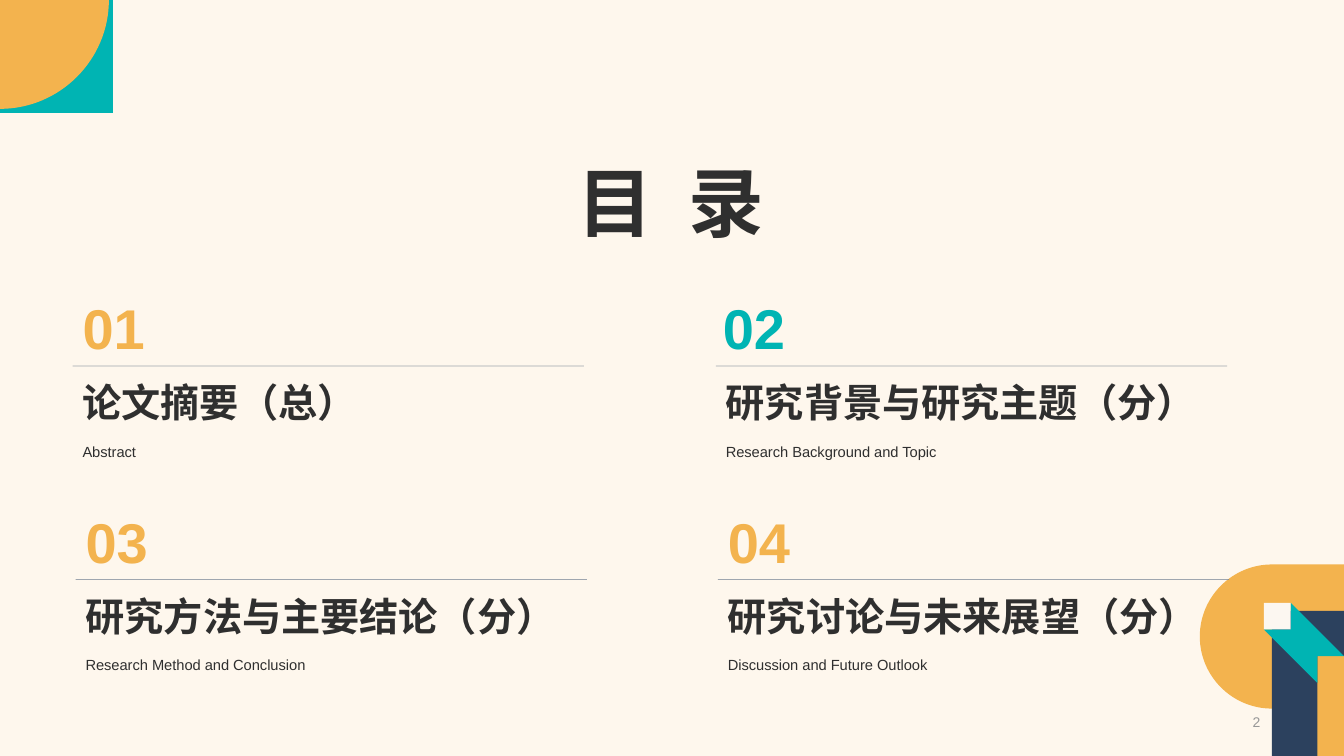
from dataclasses import dataclass

from lxml import etree
from pptx import Presentation
from pptx.dml.color import RGBColor
from pptx.enum.shapes import MSO_CONNECTOR, MSO_SHAPE
from pptx.enum.text import MSO_ANCHOR, MSO_AUTO_SIZE, PP_ALIGN
from pptx.oxml.ns import qn
from pptx.util import Inches, Pt

TOP, MIDDLE, BOTTOM = MSO_ANCHOR.TOP, MSO_ANCHOR.MIDDLE, MSO_ANCHOR.BOTTOM
LEFT, CENTER, RIGHT = PP_ALIGN.LEFT, PP_ALIGN.CENTER, PP_ALIGN.RIGHT
GROW, FIXED = MSO_AUTO_SIZE.SHAPE_TO_FIT_TEXT, MSO_AUTO_SIZE.NONE
STRAIGHT, RECTANGLE = MSO_CONNECTOR.STRAIGHT, MSO_SHAPE.RECTANGLE
ARC_PULL = 0.55  # control point distance of a quarter circle, per radius


@dataclass(frozen=True)
class Theme:
    font: str = "Arial"
    background: str = "FEF7ED"
    ink: str = "2F2F2F"
    orange: str = "F3B34E"
    teal: str = "00B4B3"
    navy: str = "2C415E"
    paper: str = "FCF7F1"
    rule: str = "778495"
    muted: str = "979797"
    title_size: float = 54
    number_size: float = 40
    heading_size: float = 28
    caption_size: float = 10.5
    page_size: float = 10


THEME = Theme()
WIDTH, HEIGHT = 13.33, 7.5

# number, heading, caption, number colour, left, top, number offset
SECTIONS = [
    ("01", "论文摘要（总）", "Abstract", THEME.orange, 0.72, 2.86, 0),
    ("02", "研究背景与研究主题（分）", "Research Background and Topic",
     THEME.teal, 7.1, 2.86, -0.03),
    ("03", "研究方法与主要结论（分）", "Research Method and Conclusion",
     THEME.orange, 0.75, 4.98, 0),
    ("04", "研究讨论与未来展望（分）", "Discussion and Future Outlook",
     THEME.orange, 7.12, 4.98, 0),
]


def add_text(slide, text, left, top, width, height, *, size, color=THEME.ink,
             bold=False, align=LEFT, anchor=TOP, fit=GROW, line_spacing=None,
             inset=0.05, tracking=None):
    box = slide.shapes.add_textbox(
        Inches(left), Inches(top), Inches(width), Inches(height))
    frame = box.text_frame
    frame.word_wrap = True
    frame.auto_size = fit
    frame.vertical_anchor = anchor
    frame.margin_top = frame.margin_bottom = Inches(inset)
    paragraph = frame.paragraphs[0]
    paragraph.alignment = align
    paragraph.line_spacing = line_spacing
    run = paragraph.add_run()
    run.text = text
    run.font.name = THEME.font
    run.font.size = Pt(size)
    run.font.bold = bold
    run.font.color.rgb = RGBColor.from_string(color)
    if tracking:
        run.font._element.set("spc", str(int(tracking * 100)))


def paint(shape, color):
    shape.shadow.inherit = False
    shape.fill.solid()
    shape.fill.fore_color.rgb = RGBColor.from_string(color)
    shape.line.fill.background()


def add_block(slide, left, top, width, height, color):
    block = slide.shapes.add_shape(
        RECTANGLE, Inches(left), Inches(top), Inches(width), Inches(height))
    paint(block, color)


def add_outline(slide, points, color, curves=()):
    """Closed outline; each index in curves starts a curve of three points."""
    corners = [(Inches(x), Inches(y)) for x, y in points]
    builder = slide.shapes.build_freeform(*corners[0], scale=1.0)
    builder.add_line_segments(corners[1:], close=True)
    outline = builder.convert_to_shape()
    paint(outline, color)

    # Turn the three segments of each curve into one Bezier segment
    segments = list(outline._element.iter(qn("a:lnTo")))
    for start in curves:
        first, *others = segments[start:start + 3]
        first.tag = qn("a:cubicBezTo")
        for segment in others:
            first.append(segment[0])
            segment.getparent().remove(segment)


def quarter(center, start, end):
    """Two control points and the end of a quarter circle."""
    (cx, cy), (sx, sy), (ex, ey) = center, start, end
    return [(sx + ARC_PULL * (ex - cx), sy + ARC_PULL * (ey - cy)),
            (ex + ARC_PULL * (sx - cx), ey + ARC_PULL * (sy - cy)),
            end]


def add_rule(slide, left, top, width):
    rule = slide.shapes.add_connector(
        STRAIGHT, Inches(left), Inches(top), Inches(left + width), Inches(top))
    rule.line.width = Pt(0.5)
    rule.line.color.rgb = RGBColor.from_string(THEME.rule)
    properties = rule._element.spPr
    tint = next(properties.iter(qn("a:srgbClr")))
    etree.SubElement(tint, qn("a:alpha")).set("val", "70000")
    etree.SubElement(properties, qn("a:effectLst"))


def draw_corner_quarter(slide, left, top, size):
    """Teal square with an orange quarter disc."""
    add_block(slide, left, top, size, size, THEME.teal)
    radius = size - 0.04
    corner, start, end = (left, top), (left + radius, top), (left, top + radius)
    add_outline(slide, [corner, start] + quarter(corner, start, end),
                THEME.orange, curves=[1])


def draw_corner_arrow(slide, right, bottom):
    """Orange rounded field, navy post and teal folded arrow."""
    radius, step = 0.715, 0.265
    post_left = right - radius
    field_top = bottom - 1.9
    middle = field_top + radius
    center = (post_left, middle)
    crown, side = (post_left, field_top), (post_left - radius, middle)
    foot = (post_left, middle + radius)
    field = [center, (right, middle), (right, field_top), crown]
    field += quarter(center, crown, side) + quarter(center, side, foot)
    add_outline(slide, field, THEME.orange, curves=[3, 6])
    add_block(slide, post_left, bottom - 1.44, radius, 1.44, THEME.navy)
    add_block(slide, right - step, bottom - 0.99, step, 0.99, THEME.orange)

    # Arrow outline in steps from the corner of the paper square
    x, y = right - 3 * step, bottom - 1.52
    arrow = [(0, 1), (2, 3), (2, 2), (3, 2), (1, 0), (1, 1)]
    add_outline(slide, [(x + i * step, y + j * step) for i, j in arrow],
                THEME.teal)
    add_block(slide, x, y, step, step, THEME.paper)


def draw_section(slide, left, top, number, heading, caption, color, offset):
    """Number above a rule, with heading and caption below it."""
    add_text(slide, caption, left, top + 1.43, 5.45, 0.33,
             size=THEME.caption_size, line_spacing=1.3)
    add_text(slide, heading, left, top + 0.84, 5.45, 0.57,
             size=THEME.heading_size, bold=True, anchor=BOTTOM)
    add_text(slide, number, left + offset, top, 5.48, 0.77,
             size=THEME.number_size, color=color, bold=True, anchor=BOTTOM)
    add_rule(slide, left, top + 0.77, 5.07)


def draw_contents_slide(slide):
    slide.background.fill.solid()
    slide.background.fill.fore_color.rgb = RGBColor.from_string(THEME.background)

    # Corner ornaments
    draw_corner_quarter(slide, 0, 0, 1.12)
    draw_corner_arrow(slide, WIDTH, HEIGHT)

    # Title
    add_text(slide, "目 录", 5.03, 1.44, 3.25, 1.11, size=THEME.title_size,
             bold=True, align=CENTER, anchor=BOTTOM, inset=0.1, tracking=6.5)

    # Sections
    for number, heading, caption, color, left, top, offset in SECTIONS:
        draw_section(slide, left, top, number, heading, caption, color, offset)

    # Page number
    add_text(slide, "2", 9.69, 7.04, 2.91, 0.24, size=THEME.page_size,
             color=THEME.muted, align=RIGHT, anchor=MIDDLE, fit=FIXED)


def main():
    deck = Presentation()
    deck.slide_width, deck.slide_height = Inches(WIDTH), Inches(HEIGHT)
    draw_contents_slide(deck.slides.add_slide(deck.slide_layouts[6]))
    deck.save("out.pptx")


if __name__ == "__main__":
    main()
